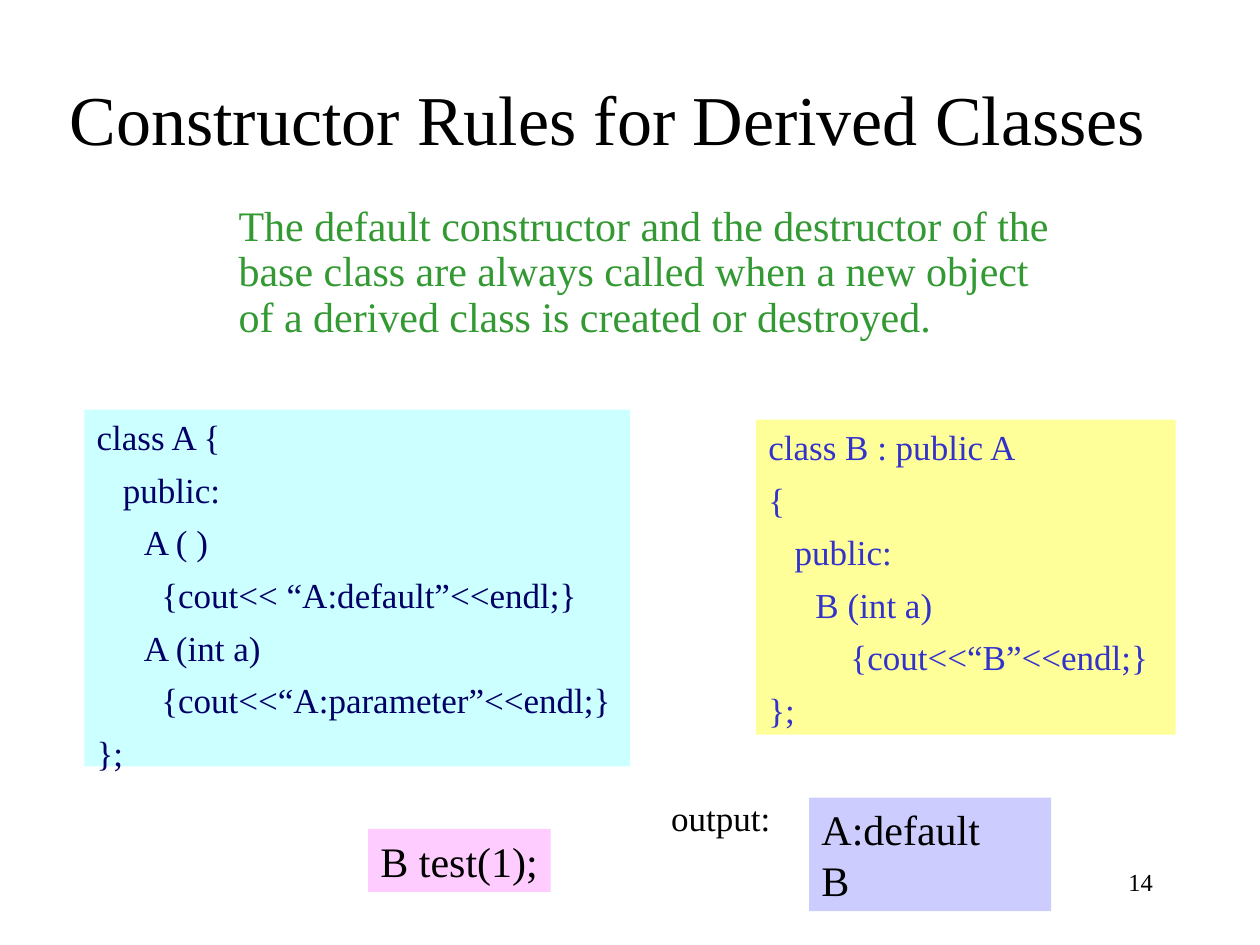
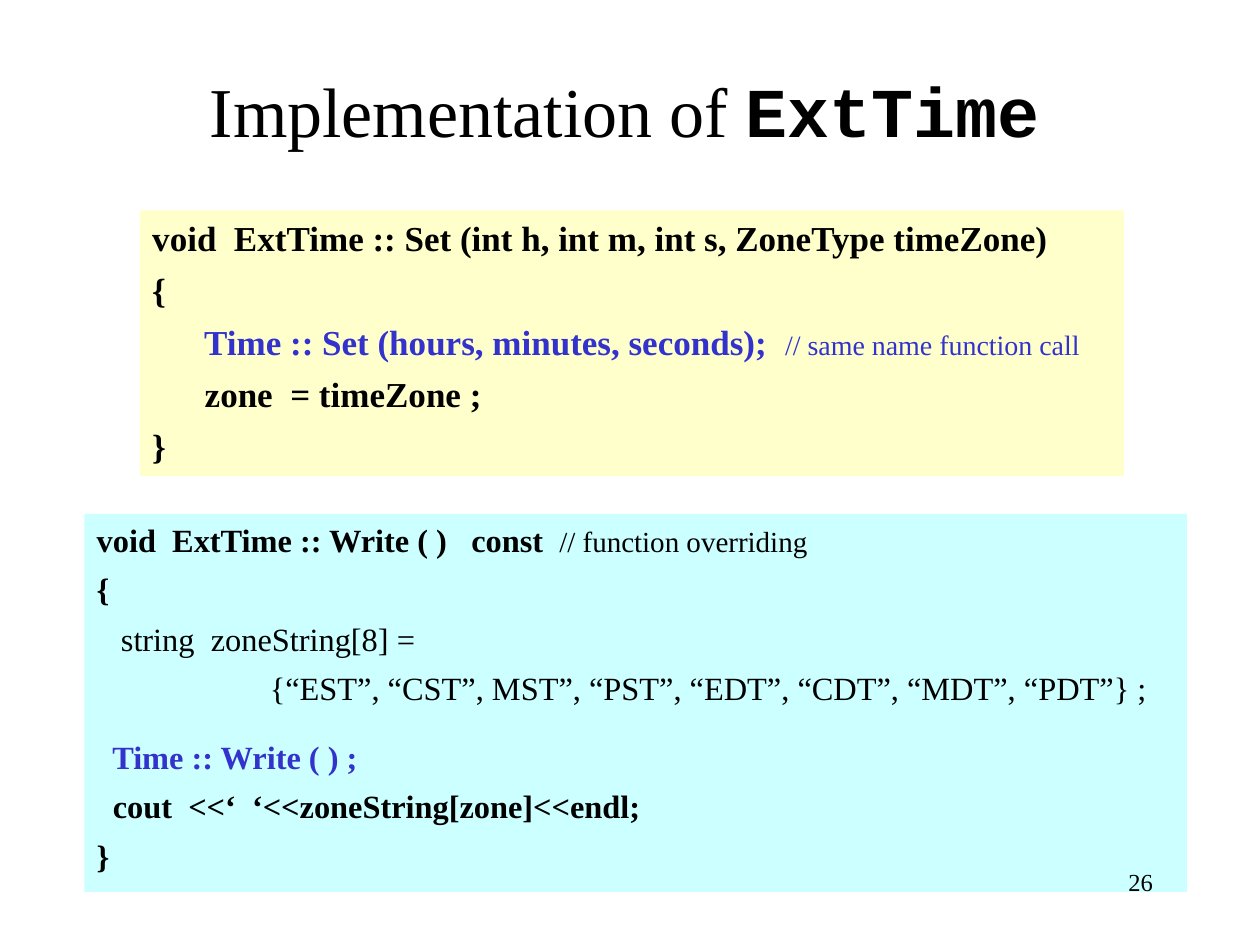
from pptx import Presentation
from pptx.dml.color import RGBColor
from pptx.enum.shapes import MSO_SHAPE as Preset
from pptx.enum.text import MSO_ANCHOR as Anchor, PP_ALIGN as Align
from pptx.util import Cm, Pt

COLORS = {
    "black": "000000", "green": "339933", "navy": "000066", "blue": "3333CC",
    "cyan": "CCFFFF", "yellow": "FFFF99", "cream": "FFFFCC",
    "pink": "FFCCFF", "lavender": "CCCCFF",
}
SERIF, MONO = "Times New Roman", "Courier New"
TAB, DEEP_TAB = 0.95, 3.49


class Deck:
    """Holds the shared style and the current slide."""

    def __init__(self):
        self.deck = Presentation()
        self.deck.slide_width, self.deck.slide_height = Cm(25.4), Cm(19.05)
        self.slide = None

    def new_slide(self, number):
        self.slide = self.deck.slides.add_slide(self.deck.slide_layouts[6])
        self.number = number

    def style(self, run, size, color="black", bold=False, face=SERIF):
        run.font.size, run.font.bold, run.font.name = Pt(size), bold, face
        run.font.color.rgb = RGBColor.from_string(COLORS[color])

    def fill_text(self, frame, words, size, color="black", bold=False, align=Align.LEFT, wrap=True):
        frame.text = words
        frame.word_wrap = wrap
        frame.vertical_anchor = Anchor.TOP
        for line in frame.paragraphs:
            line.alignment = align
            for run in line.runs:
                self.style(run, size, color, bold)
        return frame.paragraphs

    def text(self, place, words, size, **look):
        box = self.slide.shapes.add_textbox(*map(Cm, place))
        return self.fill_text(box.text_frame, words, size, **look)

    def title(self, place, words):
        heading = self.text(place, words, 40, align=Align.CENTER)[0]
        self.slide.shapes[-1].text_frame.vertical_anchor = Anchor.BOTTOM
        return heading

    def panel(self, place, fill, words, size, **look):
        panel = self.slide.shapes.add_shape(Preset.RECTANGLE, *map(Cm, place))
        panel.shadow.inherit = False
        panel.fill.solid()
        panel.fill.fore_color.rgb = RGBColor.from_string(COLORS[fill])
        panel.line.fill.background()
        return self.fill_text(panel.text_frame, words, size, **look)

    def code(self, place, fill, lines, size, gap=6, **look):
        indents, words = zip(*lines)
        listing = self.panel(place, fill, "\n".join(words), size, **look)
        for position, (line, indent) in enumerate(zip(listing, indents)):
            line.space_before = Pt(gap if position else 0)
            line._p.get_or_add_pPr().set("marL", str(Cm(indent)))
        return listing

    def add_words(self, line, words, size, **look):
        run = line.add_run()
        run.text = words
        self.style(run, size, **look)

    def page_number(self):
        self.text((18.21, 17.35, 5.28, 1.27), str(self.number), 14, align=Align.RIGHT)


def constructor_rules(deck):
    deck.new_slide(14)
    deck.title((0, 0.43, 24.5, 2.92), "Constructor Rules for Derived Classes")
    rule = deck.text(
        (4.56, 4.01, 17.03, 3.18),
        "The default constructor and the destructor of the base class are always "
        "called when a new object of a derived class is created or destroyed.",
        24, color="green")[0]
    rule.line_spacing = 0.9
    deck.code((1.7, 8.26, 11, 7.19), "cyan", [
        (0, "class A {"),
        (0, "   public:"),
        (TAB, "A ( )"),
        (TAB, "  {cout<< “A:default”<<endl;}"),
        (TAB, "A (int a)"),
        (TAB, "  {cout<<“A:parameter”<<endl;}"),
        (0, "};"),
    ], 20, color="navy")
    deck.code((15.24, 8.46, 8.46, 6.35), "yellow", [
        (0, "class B : public A"),
        (0, "{"),
        (0, "   public:"),
        (TAB, "B (int a)"),
        (TAB, "    {cout<<“B”<<endl;}"),
        (0, "};"),
    ], 20, color="blue")
    deck.panel((7.42, 16.71, 3.68, 1.27), "pink", "B test(1);", 24, wrap=False)
    deck.panel((16.31, 16.08, 4.88, 2.29), "lavender", "A:default\nB", 24)
    deck.text((13.28, 15.93, 2.51, 1.12), "output:", 20, wrap=False)
    deck.page_number()


def ext_time(deck):
    deck.new_slide(26)
    heading = deck.title((1.7, 0.84, 21.79, 2.34), "Implementation of ")
    deck.add_words(heading, "ExtTime", 40, bold=True, face=MONO)

    set_listing = deck.code((2.82, 4.24, 19.84, 5.36), "cream", [
        (0, "void  ExtTime :: Set (int h, int m, int s, ZoneType timeZone)"),
        (0, "{"),
        (0, "      Time :: Set (hours, minutes, seconds);  "),
        (0, "      zone  = timeZone ;"),
        (0, "}"),
    ], 20, gap=5.7, bold=True)
    base_set = set_listing[2]
    deck.style(base_set.runs[0], 20, "blue", True)
    deck.add_words(base_set, "// same name function call", 16, color="blue")

    write_listing = deck.code((1.7, 10.36, 22.23, 7.62), "cyan", [
        (0, "void  ExtTime :: Write ( )   const  "),
        (0, "{"),
        (0, "   string  zoneString[8] ="),
        (DEEP_TAB, "{“EST”, “CST”, MST”, “PST”, “EDT”, “CDT”, “MDT”, “PDT”} ;"),
        (0, "  Time :: Write ( ) ;"),
        (0, "  cout  <<‘  ‘<<zoneString[zone]<<endl;"),
        (0, "}"),
    ], 18.5, bold=True)
    deck.add_words(write_listing[0], "// function overriding", 16.6)
    for zone_line in write_listing[2:4]:
        deck.style(zone_line.runs[0], 18.5)
    base_write = write_listing[4]
    base_write.space_before = Pt(17)
    deck.style(base_write.runs[0], 18.5, "blue", True)
    deck.page_number()


def main():
    deck = Deck()
    constructor_rules(deck)
    ext_time(deck)
    deck.deck.save("out.pptx")


if __name__ == "__main__":
    main()
